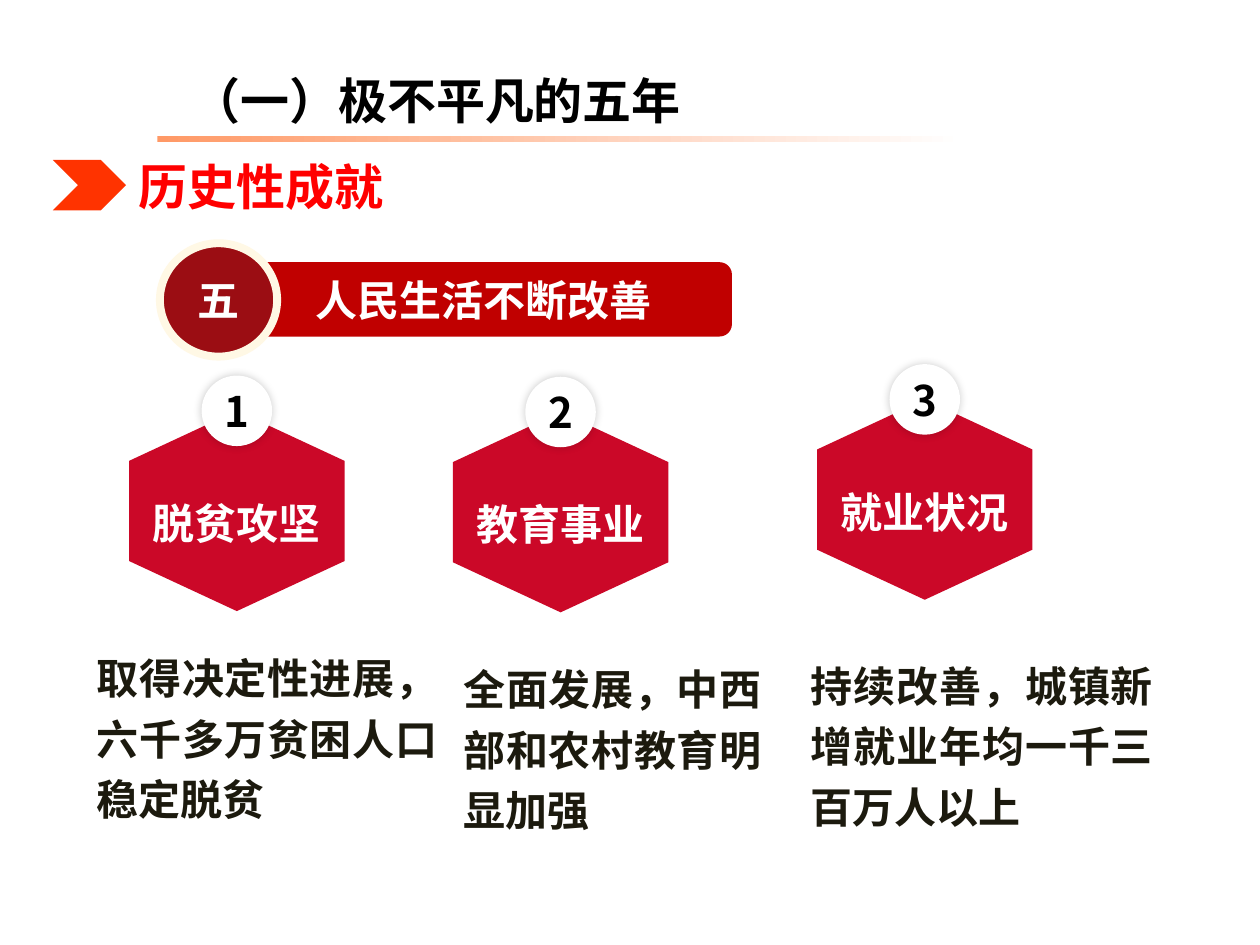
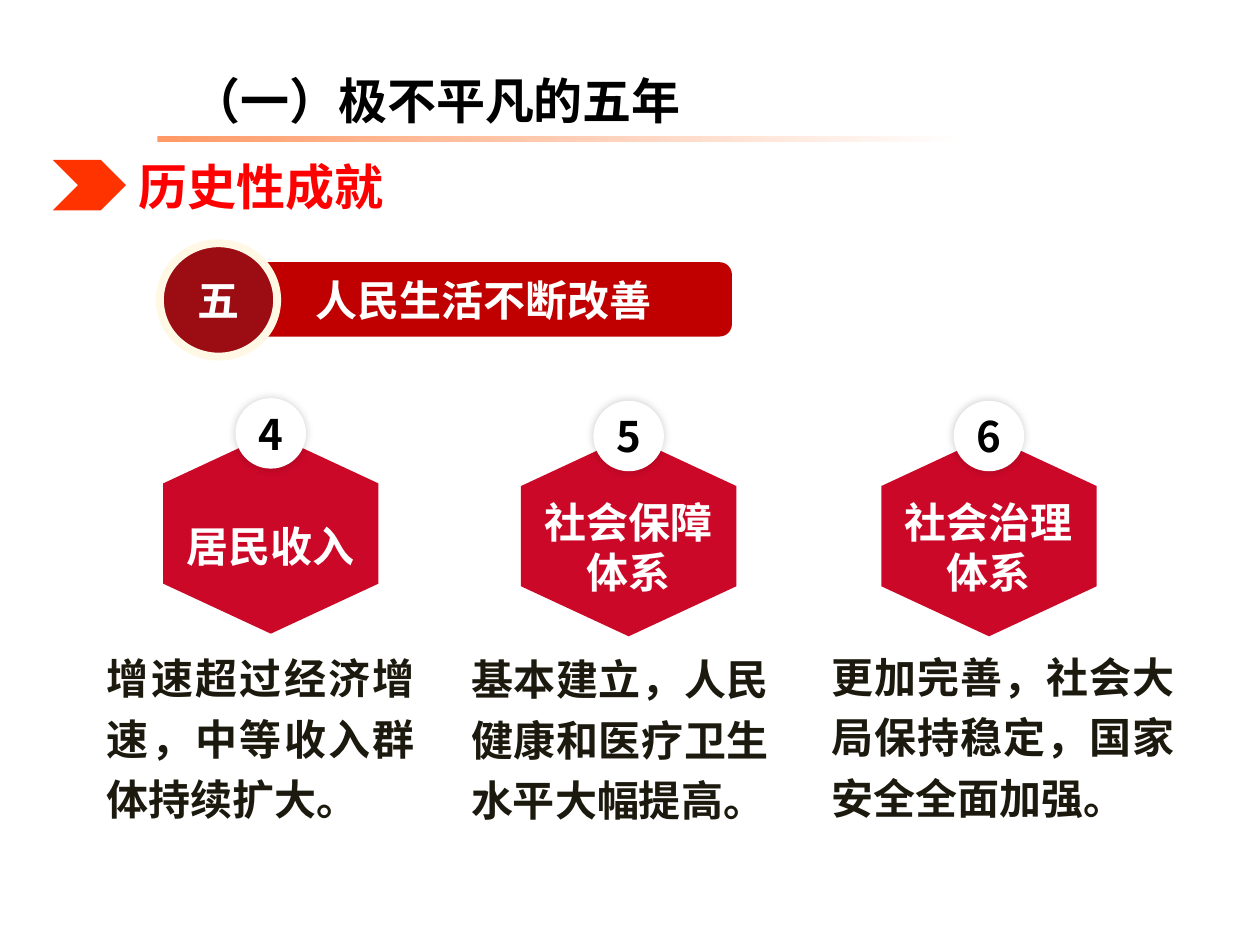
from lxml import etree
from pptx import Presentation
from pptx.dml.color import RGBColor
from pptx.enum.shapes import MSO_SHAPE
from pptx.enum.text import MSO_ANCHOR, MSO_AUTO_SIZE, PP_ALIGN
from pptx.oxml.ns import qn
from pptx.util import Pt

RECT, ROUND_RECT = MSO_SHAPE.RECTANGLE, MSO_SHAPE.ROUNDED_RECTANGLE
OVAL, CHEVRON, HEXAGON = MSO_SHAPE.OVAL, MSO_SHAPE.CHEVRON, MSO_SHAPE.HEXAGON
TOP, MIDDLE = MSO_ANCHOR.TOP, MSO_ANCHOR.MIDDLE
LEFT, CENTER, JUSTIFY = PP_ALIGN.LEFT, PP_ALIGN.CENTER, PP_ALIGN.JUSTIFY
NO_FIT = MSO_AUTO_SIZE.NONE

FONT = "Noto Sans CJK SC"
BLACK = RGBColor(0x00, 0x00, 0x00)
WHITE = RGBColor(0xFF, 0xFF, 0xFF)
RED = RGBColor(0xFF, 0x00, 0x00)
ORANGE = RGBColor(0xFF, 0x33, 0x00)
PEACH = RGBColor(0xFF, 0x99, 0x66)
BANNER_RED = RGBColor(0xC0, 0x00, 0x00)
DARK_RED = RGBColor(0x9B, 0x0D, 0x13)
CREAM = RGBColor(0xFF, 0xF8, 0xE5)
CRIMSON = RGBColor(0xCB, 0x08, 0x28)
INK = RGBColor(0x1C, 0x1A, 0x0E)

BADGE = 40.3
HEX_W, HEX_H = 114.5, 123.1
LABEL_W = 125
BODY_H = 111.6

SLIDES = [
    [
        ("1", (115.2, 214.6), ["脱贫攻坚"], (48.2, 363.6, 208.8),
         "取得决定性进展，六千多万贫困人口稳定脱贫"),
        ("2", (300.2, 215.3), ["教育事业"], (257.8, 370.1, 184.3),
         "全面发展，中西部和农村教育明显加强"),
        ("3", (508.3, 208.1), ["就业状况"], (455.8, 367.9, 210.2),
         "持续改善，城镇新增就业年均一千三百万人以上"),
    ],
    [
        ("4", (134.6, 227.5), ["居民收入"], (54, 363.6, 190.1),
         "增速超过经济增速，中等收入群体持续扩大。"),
        ("5", (339.1, 229), ["社会保障", "体系"], (262.1, 364.3, 184.3),
         "基本建立，人民健康和医疗卫生水平大幅提高。"),
        ("6", (545, 229), ["社会治理", "体系"], (468, 362.9, 210.2),
         "更加完善，社会大局保持稳定，国家安全全面加强。"),
    ],
]


class Deck:
    def __init__(self):
        self.prs = Presentation()
        self.prs.slide_width, self.prs.slide_height = Pt(720), Pt(540)
        self.s = None

    def new_slide(self):
        self.s = self.prs.slides.add_slide(self.prs.slide_layouts[5])

    def group(self):
        return self.s.shapes.add_group_shape().shapes

    def set_text(self, sp, lines, color, size=24, align=LEFT, anchor=TOP, spacing=None):
        tf = sp.text_frame
        tf.word_wrap = True
        tf.auto_size = NO_FIT
        tf.vertical_anchor = anchor
        for i, line in enumerate(lines):
            p = tf.add_paragraph() if i else tf.paragraphs[0]
            p.alignment = align
            p.line_spacing = spacing
            r = p.add_run()
            r.text = line
            r.font.name = FONT
            r.font.size = Pt(size)
            r.font.bold = True
            r.font.color.rgb = color
            latin = r.font._element.find(qn("a:latin"))
            ea = etree.Element(qn("a:ea"), typeface=FONT)
            latin.addnext(ea)

    def title(self, text):
        sp = self.s.shapes.title
        sp.left, sp.top, sp.width, sp.height = Pt(102.2), Pt(30.2), Pt(441.4), Pt(42.5)
        self.set_text(sp, [text], BLACK, 28, spacing=1.2)

    def text(self, shapes, box, lines, color, **style):
        sp = shapes.add_textbox(*map(Pt, box))
        self.set_text(sp, lines, color, **style)

    def shape(self, shapes, kind, box, fill, text=None, color=WHITE):
        sp = shapes.add_shape(kind, *map(Pt, box))
        sp.shadow.inherit = False
        sp.fill.solid()
        sp.fill.fore_color.rgb = fill
        sp.line.fill.background()
        if text:
            self.set_text(sp, [text], color, align=CENTER, anchor=MIDDLE)
        return sp

    def fading_rule(self, box):
        sp = self.shape(self.s.shapes, RECT, box, PEACH)
        sp.fill.gradient()
        sp.fill.gradient_angle = 0
        for stop, color in zip(sp.fill.gradient_stops, (PEACH, WHITE)):
            stop.color.rgb = color

    def soft_shadow(self, sp):
        effects = sp._element.spPr.find(qn("a:effectLst"))
        shadow = etree.SubElement(effects, qn("a:outerShdw"), blurRad=str(Pt(5)),
                                  dist="0", dir="0", algn="ctr", rotWithShape="0")
        color = etree.SubElement(shadow, qn("a:srgbClr"), val=str(BLACK))
        etree.SubElement(color, qn("a:alpha"), val="20000")

    def header(self):
        self.title("（一）极不平凡的五年")
        self.fading_rule((90, 77.8, 460.8, 3.2))
        self.shape(self.s.shapes, CHEVRON, (30.2, 91.4, 41.8, 28.8), ORANGE)
        self.text(self.s.shapes, (72, 85.7, 414, 41), ["历史性成就"], RED, size=28)

    def banner(self, number, text):
        g = self.group()
        self.shape(g, ROUND_RECT, (134.6, 149.8, 283.7, 42.5), BANNER_RED, text)
        sp = self.shape(g, OVAL, (91.4, 139, 67, 64.8), DARK_RED, number)
        sp.line.color.rgb = CREAM
        sp.line.width = Pt(4.5)

    def card(self, number, x, y, lines):
        g = self.group()
        center = x + BADGE / 2
        sp = self.shape(g, HEXAGON, (center - HEX_W / 2, y + 15.8, HEX_W, HEX_H), CRIMSON)
        sp.adjustments[0] = 0.25
        sp.rotation = 270
        badge = self.shape(g, OVAL, (x, y, BADGE, BADGE), WHITE, number, BLACK)
        self.soft_shadow(badge)
        dy, height, spacing = (60.5, 38.9, 1.2) if len(lines) == 1 else (51.1, 65.5, None)
        self.text(g, (center - LABEL_W / 2, y + dy, LABEL_W, height), lines, WHITE,
                  align=CENTER, spacing=spacing)


def main():
    deck = Deck()
    for cards in SLIDES:
        deck.new_slide()
        deck.header()
        deck.banner("五", "人民生活不断改善")
        for number, (x, y), label, body_box, body in cards:
            deck.card(number, x, y, label)
            deck.text(deck.s.shapes, (*body_box, BODY_H), [body], INK,
                      align=JUSTIFY, spacing=1.2)
    deck.prs.save("out.pptx")


if __name__ == "__main__":
    main()
